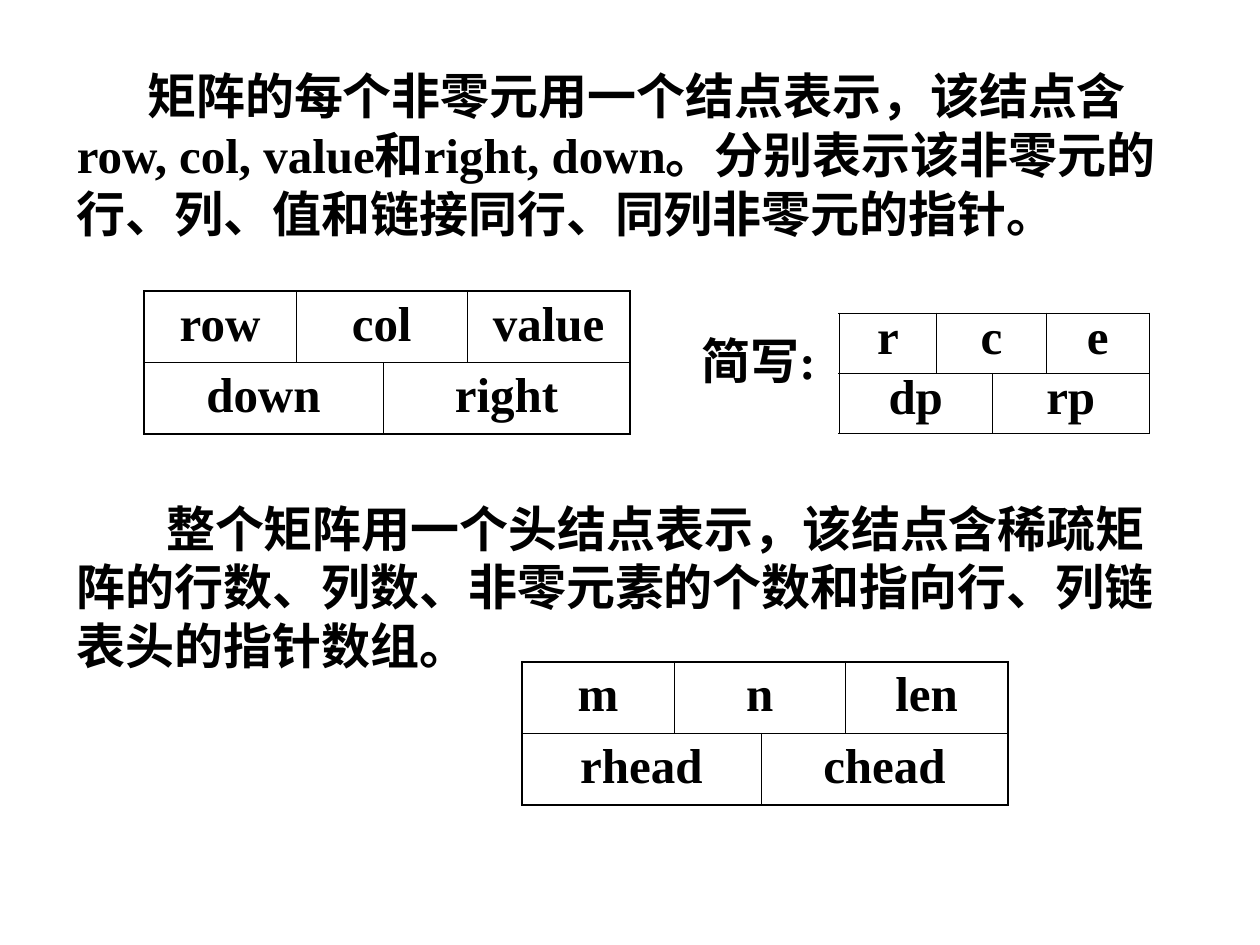
import pptx
import pptx.dml.color
import pptx.enum.text
import pptx.oxml.ns
import pptx.util
from lxml import etree

Cm = pptx.util.Cm
Pt = pptx.util.Pt
COLORS = {"ink": "000000", "paper": "FFFFFF"}
FONT = "Times New Roman"
OUTER, INNER = 1.08, 0.45  # border widths in points
# Each node field: row, first column, last column
FIELDS = [(0, 0, 0), (0, 1, 2), (0, 3, 3), (1, 0, 1), (1, 2, 3)]


def add_text(paragraph, text):
    run = paragraph.add_run()
    run.text = text
    run.font.name = FONT
    run.font.size = Pt(28)
    run.font.bold = True
    run.font.color.rgb = pptx.dml.color.RGBColor.from_string(COLORS["ink"])


def add_passage(slide, box, text, indent=0, top_inset=0.13):
    """Text box with an optional first-line indent, lengths in cm."""
    shape = slide.shapes.add_textbox(*[Cm(length) for length in box])
    frame = shape.text_frame
    frame.word_wrap = True
    frame.margin_top = Cm(top_inset)
    paragraph = frame.paragraphs[0]
    if indent:
        properties = paragraph._p.get_or_add_pPr()
        properties.set("marL", "0")
        properties.set("indent", str(Cm(indent)))
    add_text(paragraph, text)


def set_borders(cell, widths):
    properties = cell._tc.get_or_add_tcPr()
    for side, width in zip("LRTB", widths):
        line = etree.SubElement(properties, pptx.oxml.ns.qn(f"a:ln{side}"), w=str(Pt(width)))
        fill = etree.SubElement(line, pptx.oxml.ns.qn("a:solidFill"))
        etree.SubElement(fill, pptx.oxml.ns.qn("a:srgbClr"), val=COLORS["ink"])


def add_node(slide, box, columns, labels, line_spacing=1.0):
    """Node diagram: three fields above two, as a table with merged cells."""
    frame = slide.shapes.add_table(2, 4, *[Cm(length) for length in box])
    table = frame.table
    table.first_row = False
    table.horz_banding = False
    for column, width in zip(table.columns, columns):
        column.width = Cm(width)
    for row in table.rows:
        row.height = Cm(box[3] / 2)

    for (row, first, last), label in zip(FIELDS, labels):
        widths = [
            OUTER if on_edge else INNER
            for on_edge in (first == 0, last == 3, row == 0, row == 1)
        ]
        for index in range(first, last + 1):
            cell = table.cell(row, index)
            set_borders(cell, widths)
            cell.fill.background()
        cell = table.cell(row, first)
        if last > first:
            cell.merge(table.cell(row, last))
        paragraph = cell.text_frame.paragraphs[0]
        paragraph.alignment = pptx.enum.text.PP_ALIGN.CENTER
        paragraph.line_spacing = line_spacing
        add_text(paragraph, label)


def main():
    presentation = pptx.Presentation()
    presentation.slide_width = Cm(25.4)
    presentation.slide_height = Cm(19.05)
    slide = presentation.slides.add_slide(presentation.slide_layouts[6])
    background = slide.background.fill
    background.solid()
    background.fore_color.rgb = pptx.dml.color.RGBColor.from_string(COLORS["paper"])

    wide_columns = [3.07, 1.75, 1.7, 3.28]
    short_columns = [1.96, 1.12, 1.09, 2.08]

    # Element node, in full and abbreviated
    add_passage(
        slide, (1.3, 0.91, 23.01, 4.17),
        "矩阵的每个非零元用一个结点表示，该结点含row, col, value和right, down。"
        "分别表示该非零元的行、列、值和链接同行、同列非零元的指针。",
        indent=1.42, top_inset=0.42)
    add_node(slide, (2.9, 5.87, 9.8, 2.88), wide_columns,
             ["row", "col", "value", "down", "right"])
    add_node(slide, (16.92, 6.32, 6.25, 2.42), short_columns,
             ["r", "c", "e", "dp", "rp"], line_spacing=0.8)
    add_passage(slide, (13.89, 6.53, 5.41, 1.45), "简写:")

    # Head node of the whole matrix
    add_passage(
        slide, (1.3, 9.91, 23.01, 3.81),
        "整个矩阵用一个头结点表示，该结点含稀疏矩阵的行数、列数、"
        "非零元素的个数和指向行、列链表头的指针数组。",
        indent=1.8)
    add_node(slide, (10.52, 13.34, 9.8, 2.88), wide_columns,
             ["m", "n", "len", "rhead", "chead"])

    presentation.save("out.pptx")


if __name__ == "__main__":
    main()
